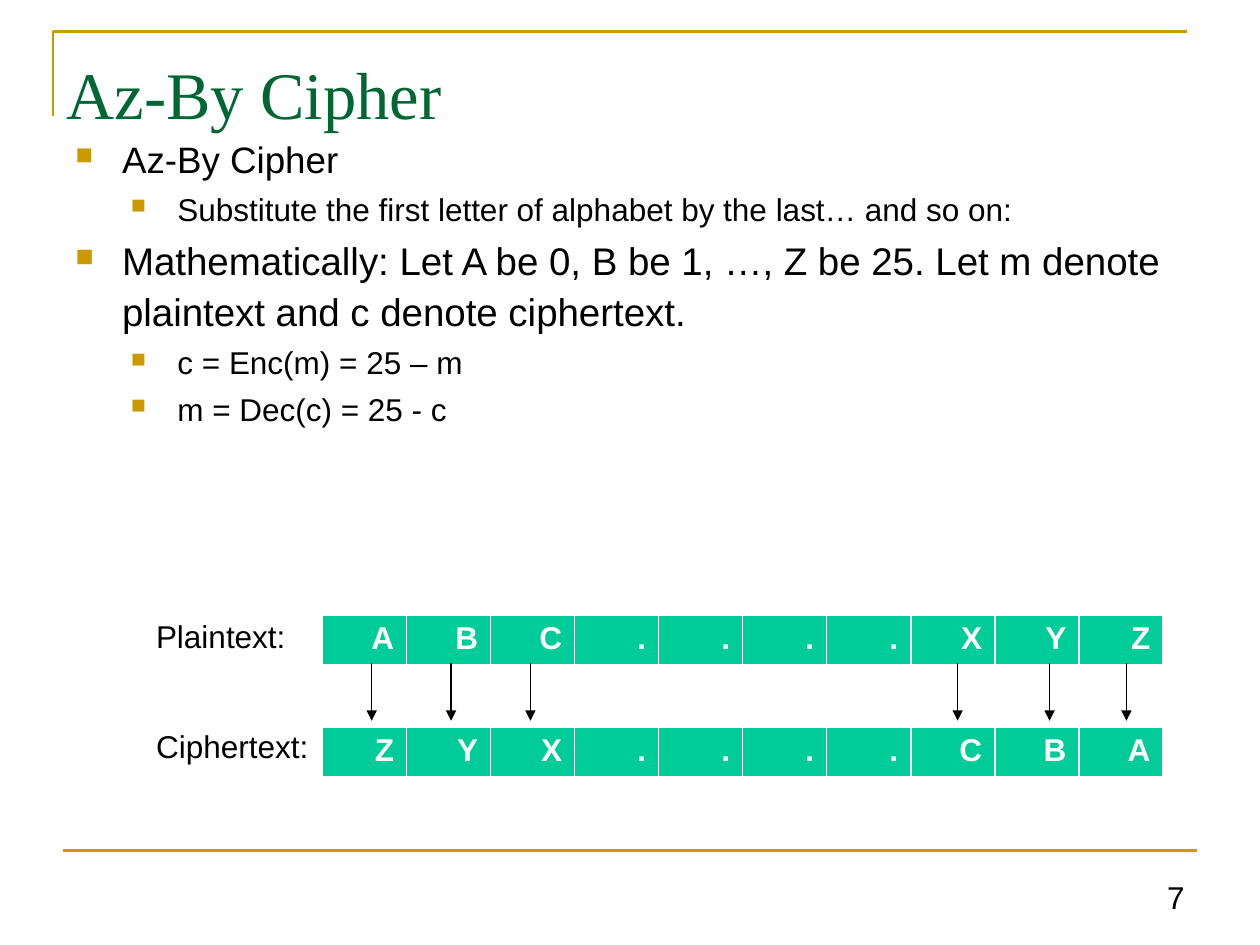
import pptx
import pptx.dml.color
import pptx.enum.shapes
import pptx.enum.text
import pptx.oxml
import pptx.oxml.ns
import pptx.util
from lxml import etree

Inches, Pt = pptx.util.Inches, pptx.util.Pt
RGB = pptx.dml.color.RGBColor.from_string
ALIGN = pptx.enum.text.PP_ALIGN
STRAIGHT = pptx.enum.shapes.MSO_CONNECTOR.STRAIGHT
qn = pptx.oxml.ns.qn
COLORS = {"gold": "CC9900", "title": "006633", "text": "000000",
          "cell": "00CC99", "white": "FFFFFF"}

prs = pptx.Presentation()
prs.slide_width, prs.slide_height = Inches(10), Inches(7.5)
s = prs.slides.add_slide(prs.slide_layouts[6])


def add_text(x, y, w, h, text, size, color="text", font="Arial", wrap=True):
    sp = s.shapes.add_textbox(Inches(x), Inches(y), Inches(w), Inches(h))
    tf = sp.text_frame
    tf.word_wrap = wrap
    tf.text = text
    for p in tf.paragraphs:
        for r in p.runs:
            r.font.name, r.font.size = font, Pt(size)
            r.font.color.rgb = RGB(COLORS[color])
    return tf


def add_line(x1, y1, x2, y2, color, width):
    line = s.shapes.add_connector(STRAIGHT, Inches(x1), Inches(y1), Inches(x2), Inches(y2))
    line.line.color.rgb = RGB(COLORS[color])
    line.line.width = Pt(width)
    etree.SubElement(line._element.spPr, qn("a:effectLst"))
    return line


# Frame and footer rule
builder = s.shapes.build_freeform(Inches(0.42), Inches(0.92))
builder.add_line_segments([(Inches(0.42), Inches(0.25)), (Inches(9.42), Inches(0.25))], close=False)
frame = builder.convert_to_shape()
frame.shadow.inherit = False
frame.fill.background()
frame.line.color.rgb = RGB(COLORS["gold"])
frame.line.width = Pt(1.5)
add_line(0.5, 6.75, 9.5, 6.75, "gold", 1.5)

add_text(0.43, 0.37, 9.07, 0.75, "Az-By Cipher", 38, "title", "Times New Roman")

# Bulleted body: level, size, text
bullets = [
    (0, 21, "Az-By Cipher"),
    (1, 18, "Substitute the first letter of alphabet by the last… and so on:"),
    (0, 22, "Mathematically: Let A be 0, B be 1, …, Z be 25. "
            "Let m denote plaintext and c denote ciphertext."),
    (1, 18, "c = Enc(m) = 25 – m"),
    (1, 18, "m = Dec(c) = 25 - c"),
]
tf = add_text(0.5, 1, 8.99, 3.25, "\n".join(text for _, _, text in bullets), 18)
for p, (level, size, _) in zip(tf.paragraphs, bullets):
    p.level = level
    p.line_spacing = 1.11
    p.space_after = Pt(2.6)
    pPr = p._p.get_or_add_pPr()
    pPr.set("marL", str(Inches(0.37 + 0.44 * level)))
    pPr.set("indent", str(-Inches(0.37)))
    color = etree.SubElement(pPr, qn("a:buClr"))
    etree.SubElement(color, qn("a:srgbClr"), val=COLORS["gold"])
    etree.SubElement(pPr, qn("a:buSzPct"), val="65000")
    etree.SubElement(pPr, qn("a:buChar"), char="■")
    p.runs[0].font.size = Pt(size)

tf = add_text(9.05, 6.83, 0.45, 0.49, "7", 18)
tf.vertical_anchor = pptx.enum.text.MSO_ANCHOR.BOTTOM
tf.paragraphs[0].alignment = ALIGN.RIGHT

# Alphabet rows
plain = "ABC....XYZ"
for top, letters in ((4.88, plain), (5.77, plain[::-1])):
    table = s.shapes.add_table(1, len(letters), Inches(2.56), Inches(top),
                               Inches(6.67), Inches(0.41)).table
    for cell, letter in zip(table.rows[0].cells, letters):
        cell.text = letter
        p = cell.text_frame.paragraphs[0]
        p.alignment = ALIGN.RIGHT
        font = p.runs[0].font
        font.name, font.size, font.bold = "Arial", Pt(18), True
        font.color.rgb = RGB(COLORS["white"])
        tcPr = cell._tc.get_or_add_tcPr()
        for side, width in (("L", 1), ("R", 1), ("T", 1), ("B", 3)):
            border = etree.SubElement(tcPr, qn(f"a:ln{side}"), w=str(Pt(width)))
            fill = etree.SubElement(border, qn("a:solidFill"))
            etree.SubElement(fill, qn("a:srgbClr"), val=COLORS["white"])
        cell.fill.solid()
        cell.fill.fore_color.rgb = RGB(COLORS["cell"])

add_text(1.14, 4.85, 1.24, 0.4, "Plaintext:", 18, wrap=False)
add_text(1.14, 5.72, 1.42, 0.4, "Ciphertext:", 18, wrap=False)

# Substitution arrows
for x in (2.95, 3.58, 4.21, 7.6, 8.33, 8.94):
    arrow = add_line(x, 5.26, x, 5.72, "text", 0.75)
    etree.SubElement(arrow.line._get_or_add_ln(), qn("a:tailEnd"), type="triangle")

prs.save("out.pptx")
